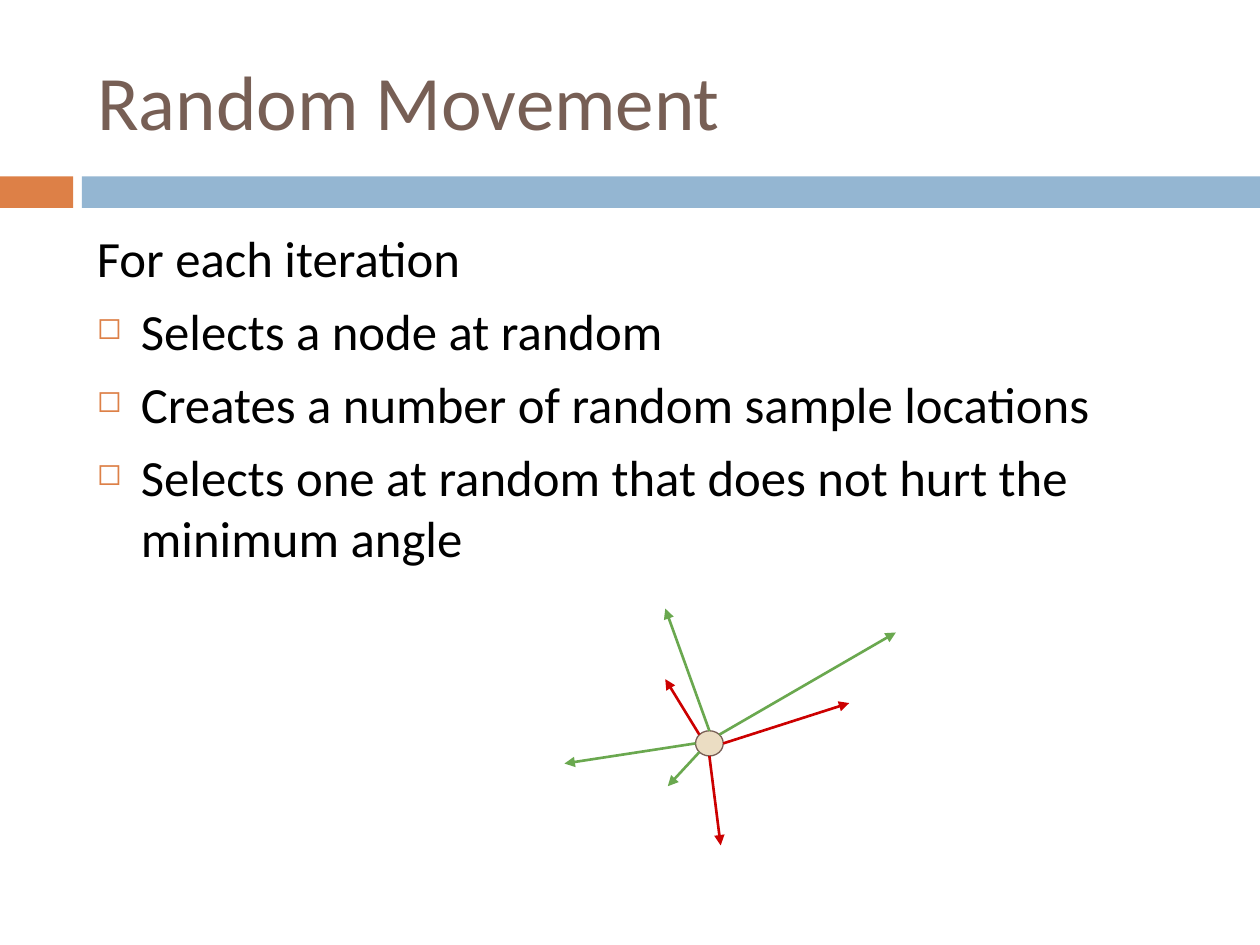
from dataclasses import dataclass

from lxml.etree import SubElement
from pptx import Presentation
from pptx.dml.color import RGBColor
from pptx.enum.shapes import MSO_CONNECTOR as Connector, MSO_SHAPE as Shape
from pptx.enum.text import MSO_ANCHOR as Anchor, MSO_AUTO_SIZE as AutoSize, PP_ALIGN as Align
from pptx.oxml.ns import qn
from pptx.util import Inches, Pt


@dataclass(frozen=True)
class Theme:
    """Colours, font and type sizes of the slide."""
    font: str = "Calibri"
    title_size: int = 44
    body_size: int = 29
    brown: str = "775F55"
    black: str = "000000"
    orange: str = "DD8047"
    blue: str = "94B6D2"
    sand: str = "EBDDC3"
    allowed: str = "6AA84F"
    rejected: str = "CC0000"


THEME = Theme()
LEFT, WIDTH = 0.67, 8.92
STEPS = (
    "Selects a node at random",
    "Creates a number of random sample locations",
    "Selects one at random that does not hurt the minimum angle",
)
MOVES = (
    ((5.71, 5.83), (7.11, 5.02), THEME.allowed),
    ((5.63, 5.8), (5.28, 4.83), THEME.allowed),
    ((5.55, 5.83), (5.28, 5.39), THEME.rejected),
    ((5.52, 5.9), (4.48, 6.06), THEME.allowed),
    ((5.55, 5.97), (5.3, 6.24), THEME.allowed),
    ((5.74, 5.9), (6.74, 5.58), THEME.rejected),
    ((5.63, 6), (5.72, 6.71), THEME.rejected),
)


def rgb(code):
    """Turn a hex code into a colour."""
    return RGBColor.from_string(code)


def add_text(paragraph, text, size, color):
    """Add one formatted run to a paragraph."""
    run = paragraph.add_run()
    run.text = text
    run.font.name = THEME.font
    run.font.size = Pt(size)
    run.font.color.rgb = rgb(color)


def add_figure(slide, kind, box, fill, outline=None):
    """Add a flat preset shape with an optional thin outline."""
    figure = slide.shapes.add_shape(kind, *map(Inches, box))
    figure.shadow.inherit = False
    figure.fill.solid()
    figure.fill.fore_color.rgb = rgb(fill)
    if outline:
        figure.line.color.rgb = rgb(outline)
        figure.line.width = Pt(0.75)
    else:
        figure.line.fill.background()


def add_arrow(slide, start, end, color):
    """Add a straight arrow that points at its end."""
    arrow = slide.shapes.add_connector(Connector.STRAIGHT, *map(Inches, start + end))
    arrow.line.color.rgb = rgb(color)
    arrow.line.width = Pt(1.5)
    SubElement(arrow.line._get_or_add_ln(), qn("a:tailEnd"), type="triangle")
    SubElement(arrow._element.spPr, qn("a:effectLst"))


def set_bullet(paragraph):
    """Give a paragraph a hanging square bullet."""
    props = paragraph._p.get_or_add_pPr()
    indent = Inches(0.35)
    props.set("marL", str(indent))
    props.set("indent", str(-indent))
    bullet_color = SubElement(props, qn("a:buClr"))
    SubElement(bullet_color, qn("a:srgbClr"), val=THEME.orange)
    SubElement(props, qn("a:buSzPct"), val="60000")
    SubElement(props, qn("a:buChar"), char="◻")


def fill_title(slide, text):
    """Place and format the title placeholder."""
    title = slide.shapes.title
    title.left, title.top, title.width, title.height = map(Inches, (LEFT, 0.25, WIDTH, 1.08))
    frame = title.text_frame
    frame.auto_size = AutoSize.NONE
    frame.vertical_anchor = Anchor.MIDDLE
    heading = frame.paragraphs[0]
    heading.alignment = Align.LEFT
    add_text(heading, text, THEME.title_size, THEME.brown)


def add_steps(slide, intro, steps):
    """Add the introduction line and its bulleted steps."""
    body = slide.shapes.add_textbox(*map(Inches, (LEFT, 1.75, WIDTH, 4.95)))
    frame = body.text_frame
    frame.word_wrap = True
    add_text(frame.paragraphs[0], intro, THEME.body_size, THEME.black)
    for step in steps:
        paragraph = frame.add_paragraph()
        set_bullet(paragraph)
        paragraph.space_before = Pt(7)
        add_text(paragraph, step, THEME.body_size, THEME.black)


def main():
    """Build and save the slide."""
    deck = Presentation()
    deck.slide_width, deck.slide_height = Inches(10), Inches(7.5)
    slide = deck.slides.add_slide(deck.slide_layouts[5])
    add_figure(slide, Shape.RECTANGLE, (0, 1.4, 0.58, 0.25), THEME.orange)
    add_figure(slide, Shape.RECTANGLE, (0.65, 1.4, 9.35, 0.25), THEME.blue)
    fill_title(slide, "Random Movement")
    add_steps(slide, "For each iteration", STEPS)
    add_figure(slide, Shape.OVAL, (5.52, 5.8, 0.22, 0.2), THEME.sand, THEME.brown)
    for start, end, color in MOVES:
        add_arrow(slide, start, end, color)
    deck.save("out.pptx")


if __name__ == "__main__":
    main()
